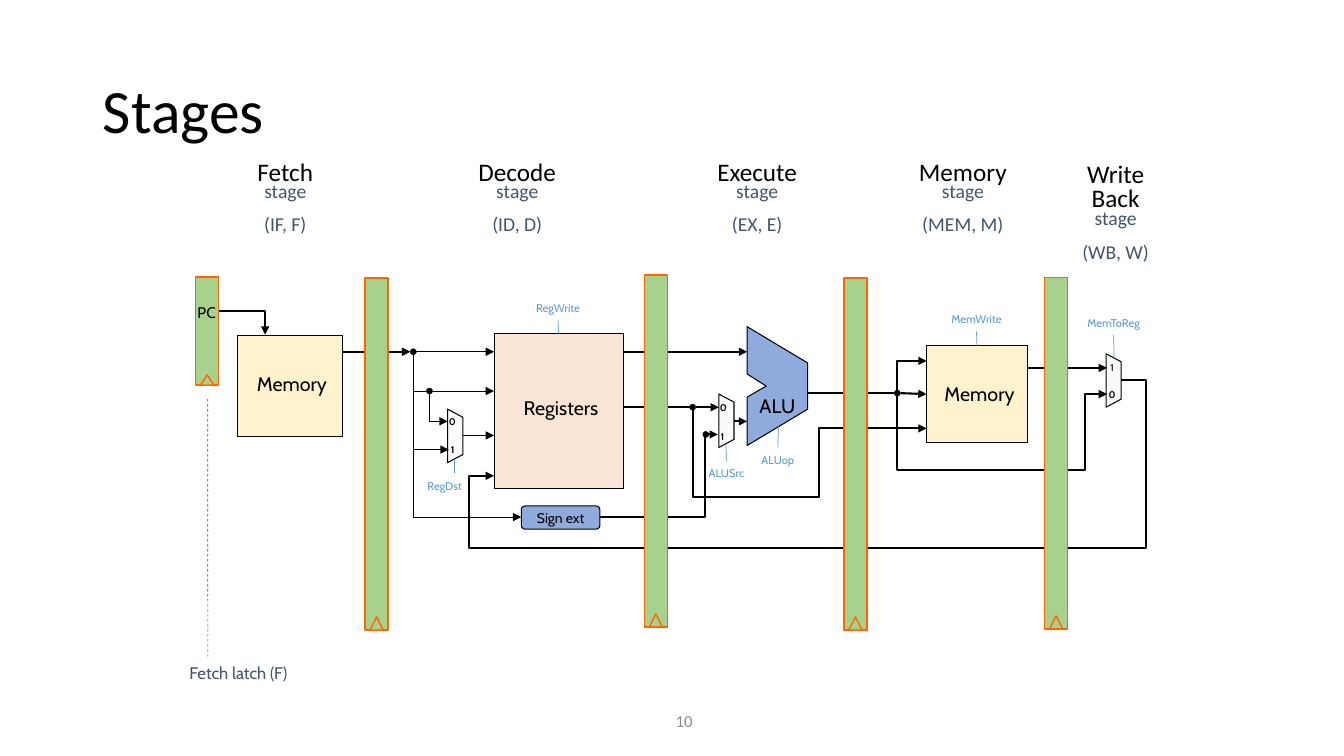
from lxml.etree import SubElement
from pptx import Presentation
from pptx.dml.color import RGBColor
from pptx.enum.dml import MSO_LINE
from pptx.enum.shapes import MSO_CONNECTOR, MSO_SHAPE
from pptx.enum.text import MSO_ANCHOR, PP_ALIGN
from pptx.oxml.ns import qn
from pptx.util import Pt

PX = 9144
BLACK, BLUE, SLATE = "000000", "5B9BD5", "44546A"
GREEN, ORANGE, CREAM, STEEL = "A9D18E", "FF6600", "FFF2CC", "8FAADC"
hue = RGBColor.from_string

deck = Presentation()
deck.slide_width, deck.slide_height = 1333 * PX, 750 * PX
slide = deck.slides.add_slide(deck.slide_layouts[5])
shapes = slide.shapes


def box(kind, x, y, w, h, fill, edge=BLACK, pt=0.75):
    shape = shapes.add_shape(kind, x * PX, y * PX, w * PX, h * PX)
    shape.shadow.inherit = False
    shape.fill.solid()
    shape.fill.fore_color.rgb = hue(fill)
    shape.line.color.rgb = hue(edge)
    shape.line.width = Pt(pt)
    return shape


def wire(pt, arrow, points, color=BLACK):
    (x1, y1), (x2, y2) = points[0], points[-1]
    bends = len(points) - 1
    upright = bends > 1 and points[0][0] == points[1][0]
    ends = [x1, y1, x2, y2]
    if upright:
        mx, my, dx, dy = (x1 + x2) / 2, (y1 + y2) / 2, x2 - x1, y2 - y1
        ends = [mx + dy / 2, my - dx / 2, mx - dy / 2, my + dx / 2]
    kind = MSO_CONNECTOR.ELBOW if bends > 1 else MSO_CONNECTOR.STRAIGHT
    line = shapes.add_connector(kind, *[int(v * PX) for v in ends])
    line.line.color.rgb = hue(color)
    line.line.width = Pt(pt)
    props = line.element.spPr
    if upright:
        props.find(qn("a:xfrm")).set("rot", "16200000")
    if bends > 1:
        geom = props.find(qn("a:prstGeom"))
        geom.set("prst", f"bentConnector{bends}")
        for n in range(1, bends - 1):
            axis = (n + 1 + upright) % 2
            first, last = points[0][axis], points[-1][axis]
            part = round((points[n][axis] - first) / (last - first) * 100000)
            SubElement(geom[0], qn("a:gd"), name=f"adj{n}", fmla=f"val {part}")
    if arrow:
        SubElement(props.find(qn("a:ln")), qn("a:tailEnd"), type="triangle")
    SubElement(props, qn("a:effectLst"))
    return line


title = shapes.title
title.left, title.top, title.width, title.height = 92 * PX, 40 * PX, 1150 * PX, 145 * PX
title.text_frame.text = "Stages"
title.text_frame.vertical_anchor = MSO_ANCHOR.MIDDLE
head = title.text_frame.paragraphs[0]
head.alignment = PP_ALIGN.LEFT
head.line_spacing = 0.9
head.font.size, head.font.name = Pt(44), "Calibri"
head.font.color.rgb = hue(BLACK)

fetch = box(MSO_SHAPE.RECTANGLE, 236, 333, 104, 100, CREAM)
regs = box(MSO_SHAPE.RECTANGLE, 490, 331, 128, 154, "FBE5D6")
memory = box(MSO_SHAPE.RECTANGLE, 919, 343, 100, 96, CREAM)
box(MSO_SHAPE.ROUNDED_RECTANGLE, 517, 502, 78, 23, STEEL)

alu = shapes.build_freeform(741, 324, scale=PX)
alu.add_line_segments([(741, 371), (760, 383), (741, 394), (741, 442), (801, 406), (801, 360)])
alu = alu.convert_to_shape()
alu.shadow.inherit = False
alu.fill.solid()
alu.fill.fore_color.rgb = hue(STEEL)
alu.line.color.rgb = hue(BLACK)
alu.line.width = Pt(0.75)

for x, y in [(425, 425), (694, 410), (1078, 370)]:
    mux = box(MSO_SHAPE.TRAPEZOID, x, y, 53, 15, "FAFAFA")
    mux.rotation = 90
    mux.adjustments[0] = 0.535

wires = [
    (1.5, True, [(217, 309), (263, 309), (263, 332)]),
    (1.5, True, [(340, 349), (407, 349)]),
    (0.75, True, [(413, 349), (490, 349)]),
    (0.75, False, [(410, 352), (410, 388), (423, 388)]),
    (0.75, True, [(429, 388), (490, 388)]),
    (0.75, True, [(410, 352), (410, 446), (445, 446)]),
    (0.75, True, [(410, 352), (410, 513), (517, 513)]),
    (0.75, True, [(426, 391), (426, 418), (444, 418)]),
    (0.75, True, [(459, 432), (490, 432)]),
    (1.5, True, [(618, 349), (741, 349)]),
    (1.5, False, [(618, 404), (684, 404)]),
    (1.5, True, [(690, 404), (713, 404)]),
    (1.5, True, [(702, 431), (712, 431)]),
    (1.5, True, [(728, 418), (741, 418)]),
    (1.5, False, [(595, 513), (699, 513), (699, 434)]),
    (1.5, False, [(687, 407), (687, 493), (777, 493)]),
    (1.5, True, [(777, 493), (812, 493), (812, 425), (919, 425)]),
    (1.5, False, [(801, 390), (887, 390)]),
    (1.5, True, [(890, 387), (890, 358), (919, 358)]),
    (1.5, True, [(890, 393), (890, 466), (1076, 466), (1076, 391), (1098, 391)]),
    (1.5, True, [(1019, 365), (1098, 365)]),
    (1.5, True, [(1112, 377), (1137, 377), (1137, 544), (465, 544), (465, 472), (490, 472)]),
]
for row in wires:
    wire(*row)
wire(1.5, True, [(893, 390), (919, 391)]).end_connect(memory, 1)

for x, y in [(407, 346), (423, 385), (684, 401), (697, 428), (887, 387)]:
    box(MSO_SHAPE.OVAL, x, y, 6, 6, BLACK, BLACK, 0.25)

latches = [(194, 275, 107, 10), (362, 276, 349, 13), (639, 273, 349, 13),
           (837, 276, 349, 13), (1036, 275, 349, 13)]
for x, y, h, tip in latches:
    box(MSO_SHAPE.RECTANGLE, x, y, 23, h, GREEN, ORANGE, 1)
    box(MSO_SHAPE.ISOSCELES_TRIANGLE, x + 5, y + h - tip, 13, tip, GREEN, ORANGE, 1)

note = box(MSO_SHAPE.LINE_CALLOUT_1_NO_BORDER, 167, 652, 139, 30, "FFFFFF", SLATE, 0.5)
note.fill.background()
note.line.dash_style = MSO_LINE.DASH
for n, part in enumerate([-0.019, 0.282, -8.606, 0.281]):
    note.adjustments[n] = part

labels = [
    ("Memory", 244, 364, 91, 34, 14, BLACK),
    ("Registers", 505, 387, 103, 34, 14, BLACK),
    ("ALU", 752, 390, 38, 24, 14, BLACK),
    ("Memory", 926, 374, 91, 34, 14, BLACK),
    ("Sign ext", 517, 502, 78, 23, 10, BLACK),
    ("PC", 193, 300, 24, 19, 11, BLACK),
    ("0", 444, 412, 9, 12, 7, BLACK),
    ("1", 445, 440, 8, 12, 7, BLACK),
    ("0", 713, 398, 9, 12, 7, BLACK),
    ("1", 713, 427, 7, 12, 7, BLACK),
    ("1", 1098, 359, 10, 12, 7, BLACK),
    ("0", 1098, 385, 10, 12, 7, BLACK),
    ("RegWrite", 520, 294, 67, 24, 8, BLUE),
    ("MemWrite", 933, 305, 71, 24, 8, BLUE),
    ("MemToReg", 1065, 308, 79, 24, 8, BLUE),
    ("ALUop", 744, 444, 55, 24, 8, BLUE),
    ("ALUSrc", 691, 457, 59, 24, 8, BLUE),
    ("RegDst", 412, 470, 58, 24, 8, BLUE),
    ("Fetch latch (F)", 167, 652, 139, 30, 12, SLATE),
    ("10", 639, 695, 79, 40, 12, "8C8C8C"),
]
tags = {}
for text, x, y, w, h, size, color in labels:
    label = note if text == "Fetch latch (F)" else shapes.add_textbox(x * PX, y * PX, w * PX, h * PX)
    frame = label.text_frame
    frame.text = text
    frame.word_wrap = False
    frame.vertical_anchor = MSO_ANCHOR.MIDDLE
    frame.margin_left = frame.margin_right = frame.margin_top = frame.margin_bottom = 0
    line = frame.paragraphs[0]
    line.alignment = PP_ALIGN.CENTER
    line.font.size = Pt(size)
    line.font.name = "Calibri" if text == "10" else "Cabin"
    line.font.bold = size == 7 and (x, y) != (1098, 359)
    line.font.color.rgb = hue(color)
    tags[text] = label

leads = [
    ("RegWrite", 2, 554, 318, 331, regs),
    ("MemWrite", 2, 969, 329, 343, memory),
    ("MemToReg", 2, 1105, 331, 355, None),
    ("ALUop", 0, 772, 444, 423, None),
    ("ALUSrc", 0, 720, 457, 440, None),
    ("RegDst", None, 451, 469, 455, None),
]
for name, side, x, start, end, block in leads:
    lead = wire(0.5, False, [(x, start), (x, end)], BLUE)
    if side is not None:
        lead.begin_connect(tags[name], side)
    if block:
        lead.end_connect(block, 0)

stages = [
    (["Fetch"], "(IF, F)", 245, 76, 81),
    (["Decode"], "(ID, D)", 464, 98, 81),
    (["Execute"], "(EX, E)", 701, 100, 81),
    (["Memory"], "(MEM, M)", 901, 108, 81),
    (["Write", "Back"], "(WB, W)", 1063, 87, 108),
]
for names, short, x, w, h in stages:
    frame = shapes.add_textbox(x * PX, 158 * PX, w * PX, h * PX).text_frame
    frame.word_wrap = False
    frame.text = "\n".join(names + ["stage", short])
    for n, line in enumerate(frame.paragraphs):
        big = n < len(names)
        line.alignment = PP_ALIGN.CENTER
        line.line_spacing = 0.8 if big and len(names) > 1 else 0.7
        line.font.size, line.font.name = Pt(18 if big else 14), "Calibri"
        line.font.color.rgb = hue(BLACK if big else SLATE)
    line.space_before = Pt(12)

deck.save("out.pptx")
